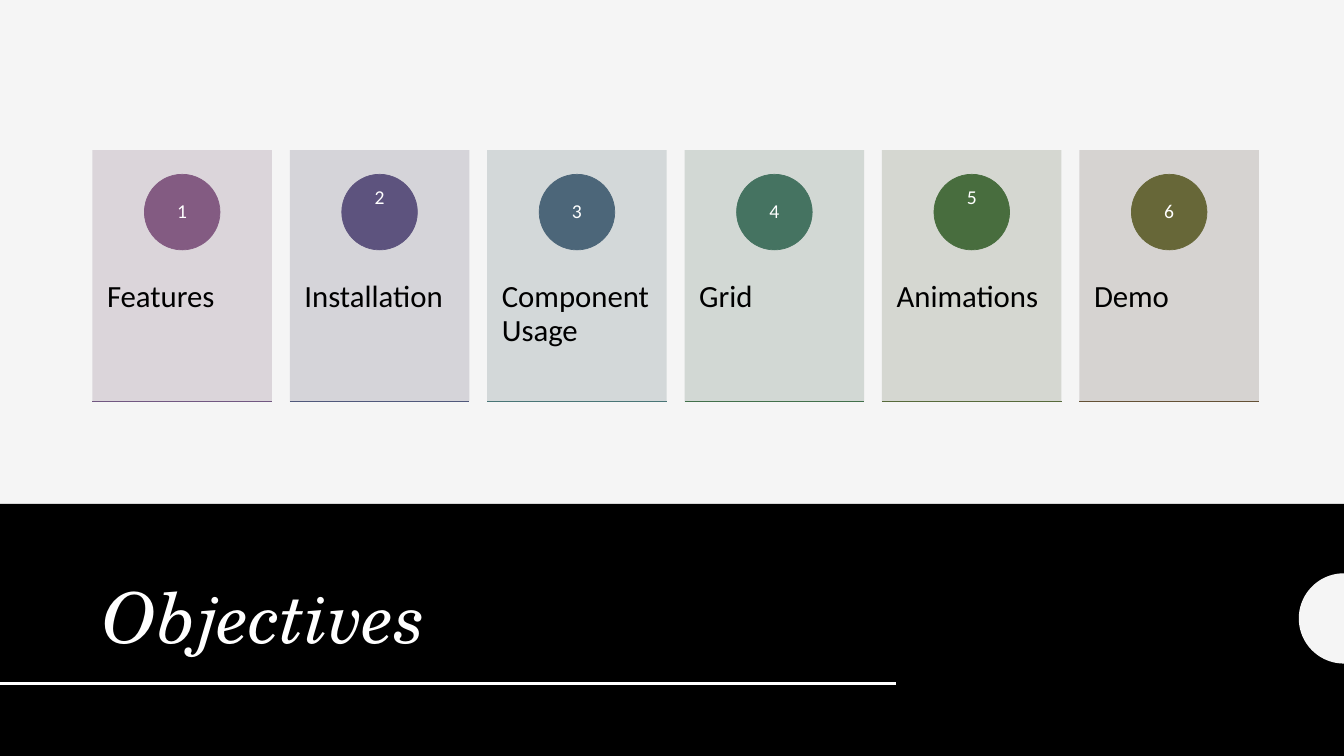
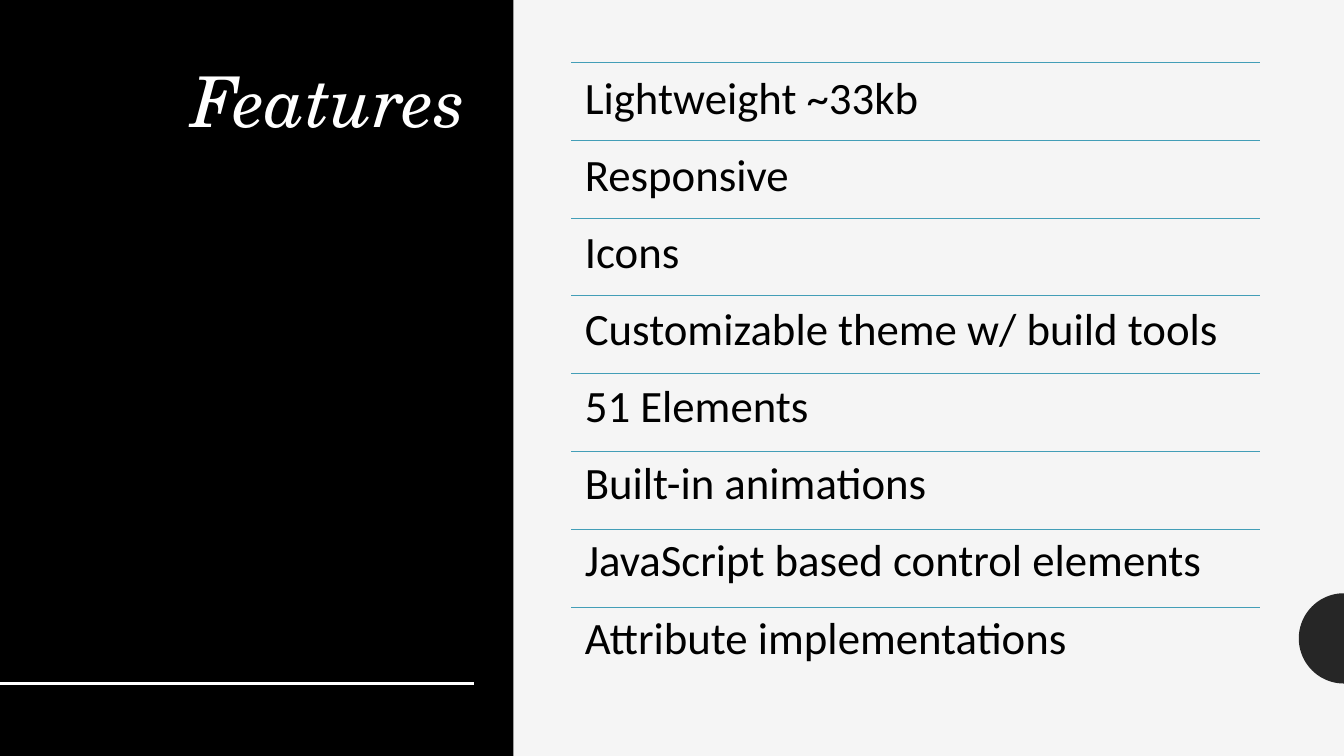
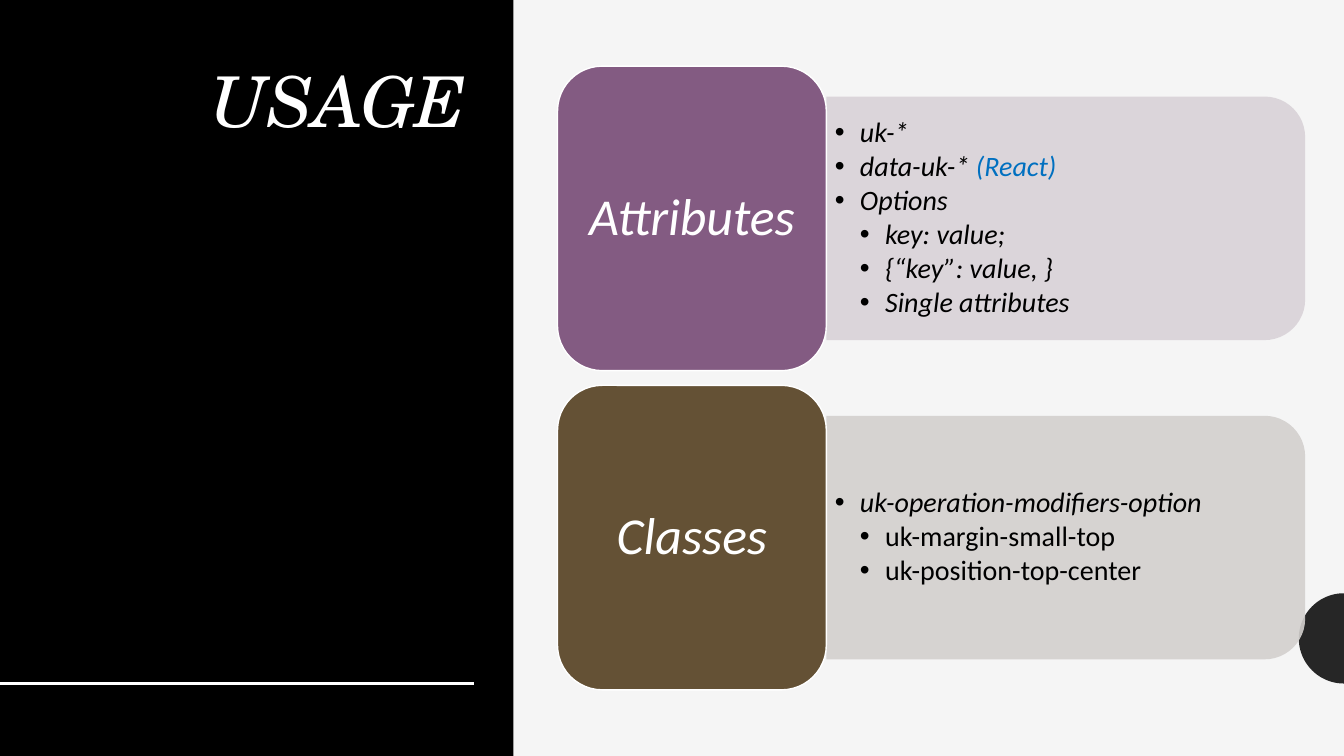
from dataclasses import dataclass
from math import cos, pi, sin

from lxml import etree
from pptx import Presentation
from pptx import util as u
from pptx.dml.color import RGBColor
from pptx.enum import shapes, text
from pptx.oxml import ns

OBJECTIVES = [
    ("Features", "D9D2D8", "835B82", "715781"),
    ("Installation", "D2D1D7", "5D537E", "50587B"),
    ("Component Usage", "D0D5D6", "4C6679", "497576"),
    ("Grid", "CFD5D1", "457361", "42704B"),
    ("Animations", "D2D4CE", "486D3E", "576A3B"),
    ("Demo", "D3D0CE", "676738", "645135"),
]
RAISED_NUMBERS = (2, 5)

FEATURES = [
    "Lightweight ~33kb",
    "Responsive",
    "Icons",
    "Customizable theme w/ build tools",
    "51 Elements",
    "Built-in animations",
    "JavaScript based control elements",
    "Attribute implementations",
]

USAGE = [
    {
        "name": "Attributes", "color": "835B82", "tint": "D9D2D8",
        "items": [
            (0, "uk-*", True),
            (0, "data-uk-* ", True, "(React)"),
            (0, "Options", True),
            (1, "key: value;", True),
            (1, "{“key”: value, }", True),
            (1, "Single attributes", True),
        ],
    },
    {
        "name": "Classes", "color": "645135", "tint": "D3D0CE",
        "items": [
            (0, "uk-operation-modifiers-option", True),
            (1, "uk-margin-small-top", False),
            (1, "uk-position-top-center", False),
        ],
    },
]


@dataclass(frozen=True)
class Theme:
    paper: str = "F5F5F5"
    band: str = "000000"
    disc: str = "262626"
    light: str = "FFFFFF"
    ink: str = "000000"
    rule: str = "439EB7"
    accent: str = "0070C0"
    title_font: str = "TeX Gyre Schola"
    body_font: str = "Calibri"
    title_size: float = 50
    card_size: float = 37
    feature_size: float = 32
    label_size: float = 22
    item_size: float = 20
    number_size: float = 14
    line_spacing: float = 0.9


THEME = Theme()
EMU_PER_PX = 9525
WIDTH, HEIGHT = 1280, 720
SIDEBAR = 489
UNDERLINE_TOP = 651
DISC_RADIUS = 43
INDENT = 24
TITLE_MARGINS = (10, 5, 10, 5)


def px(length):
    return u.Emu(round(length * EMU_PER_PX))


def rgb(color):
    return RGBColor.from_string(color)


def place(shape, box):
    shape.left, shape.top, shape.width, shape.height = map(px, box)


def paint(shape, fill, line=None, weight=0.5, alpha=None):
    shape.shadow.inherit = False
    shape.fill.solid()
    shape.fill.fore_color.rgb = rgb(fill)
    if alpha:
        color = shape.fill._xPr.find(".//" + ns.qn("a:srgbClr"))
        etree.SubElement(color, ns.qn("a:alpha")).set("val", str(alpha * 1000))
    if line:
        shape.line.color.rgb = rgb(line)
        shape.line.width = u.Pt(weight)
    else:
        shape.line.fill.background()


def add_shape(slide, kind, box, fill, **style):
    shape = slide.shapes.add_shape(kind, *map(px, box))
    paint(shape, fill, **style)
    return shape


def add_rule(slide, left, right, top, color, weight):
    rule = slide.shapes.add_connector(
        shapes.MSO_CONNECTOR.STRAIGHT, px(left), px(top), px(right), px(top))
    rule.line.color.rgb = rgb(color)
    rule.line.width = u.Pt(weight)
    etree.SubElement(rule._element.spPr, ns.qn("a:effectLst"))


def add_half_disc(slide, center, color):
    angles = [pi / 2 + pi * step / 48 for step in range(49)]
    points = [(px(WIDTH + DISC_RADIUS * cos(angle)), px(center + DISC_RADIUS * sin(angle)))
              for angle in angles]
    builder = slide.shapes.build_freeform(*points[0])
    builder.add_line_segments(points[1:], close=True)
    paint(builder.convert_to_shape(), color)


def set_bullet(paragraph, mark, margin, indent):
    properties = paragraph._p.get_or_add_pPr()
    properties.set("marL", str(px(margin)))
    properties.set("indent", str(px(indent)))
    if mark:
        etree.SubElement(properties, ns.qn("a:buChar")).set("char", mark)
    else:
        etree.SubElement(properties, ns.qn("a:buNone"))


def write(shape, lines, size, color=THEME.ink, font=THEME.body_font, italic=False,
          align="LEFT", anchor="TOP", margins=(0, 0, 0, 0), after=0):
    frame = shape.text_frame
    frame.text = "\n".join(lines)
    frame.word_wrap = True
    frame.auto_size = text.MSO_AUTO_SIZE.NONE
    frame.vertical_anchor = getattr(text.MSO_ANCHOR, anchor)
    (frame.margin_left, frame.margin_top,
     frame.margin_right, frame.margin_bottom) = map(px, margins)
    for paragraph in frame.paragraphs:
        paragraph.alignment = getattr(text.PP_ALIGN, align)
        paragraph.line_spacing = THEME.line_spacing
        paragraph.space_before = u.Pt(0)
        paragraph.space_after = u.Pt(after)
        for run in paragraph.runs:
            run.font.name = font
            run.font.size = u.Pt(size)
            run.font.italic = italic
            run.font.color.rgb = rgb(color)
    return frame.paragraphs


def start_slide(presentation, layout, title, title_box, band_box, underline,
                disc_center, disc_color, align, anchor):
    slide = presentation.slides.add_slide(presentation.slide_layouts[layout])
    add_shape(slide, shapes.MSO_SHAPE.RECTANGLE, band_box, THEME.band)
    add_half_disc(slide, disc_center, disc_color)
    add_rule(slide, 0, underline, UNDERLINE_TOP, THEME.light, 2)
    place(slide.shapes.title, title_box)
    write(slide.shapes.title, [title], THEME.title_size, THEME.light, THEME.title_font,
          True, align, anchor, TITLE_MARGINS)
    return slide


def start_sidebar_slide(presentation, layout, title):
    return start_slide(presentation, layout, title, (80, 59, 374, 520),
                       (0, 0, SIDEBAR, HEIGHT), 451, 608, THEME.disc, "RIGHT", "TOP")


def bring_text_forward(slide):
    for placeholder in list(slide.placeholders):
        slide.shapes._spTree.append(placeholder._element)


def build_objectives(presentation):
    slide = start_slide(presentation, 5, "Objectives", (88, 498, 765, 134),
                        (0, 480, WIDTH, 240), 853, 589, THEME.paper, "LEFT", "BOTTOM")
    left, top, width, height, pitch, diameter = 88, 143, 171, 239, 188, 72
    for number, (label, tint, color, rule) in enumerate(OBJECTIVES, 1):
        card_left = left + (number - 1) * pitch
        card = add_shape(slide, shapes.MSO_SHAPE.RECTANGLE,
                         (card_left, top, width, height), tint, alpha=90)
        write(card, [label], THEME.label_size, margins=(14, 125, 14, 0))
        circle = add_shape(slide, shapes.MSO_SHAPE.OVAL,
                           (card_left + (width - diameter) / 2, 166, diameter, diameter),
                           color, line=color)
        lift = 27 if number in RAISED_NUMBERS else 0
        write(circle, [str(number)], THEME.number_size, THEME.light, align="CENTER",
              anchor="MIDDLE", margins=(0, 0, 0, lift))
        add_rule(slide, card_left, card_left + width, top + height, rule, 0.5)
    bring_text_forward(slide)


def build_features(presentation):
    slide = start_sidebar_slide(presentation, 1, "Features")
    left, top, width, height = 544, 59, 656, 594
    pitch = height / len(FEATURES)
    for row in range(len(FEATURES)):
        add_rule(slide, left, left + width, top + row * pitch, THEME.rule, 0.5)
    body = slide.placeholders[1]
    place(body, (left, top, width, height))
    for paragraph in write(body, FEATURES, THEME.feature_size,
                           margins=(13, 13, 13, 0), after=20.5):
        set_bullet(paragraph, None, 0, 0)
    bring_text_forward(slide)


def write_items(body, items):
    paragraphs = write(body, [item[1] for item in items], THEME.item_size,
                       anchor="MIDDLE", margins=(8, 4, 8, 4), after=2.6)
    for paragraph, (level, _, italic, *notes) in zip(paragraphs, items):
        paragraph.level = level
        set_bullet(paragraph, "•", INDENT * (level + 1), -INDENT)
        for note in notes:
            paragraph.add_run().text = note
        for run in paragraph.runs:
            run.font.name = THEME.body_font
            run.font.size = u.Pt(THEME.item_size)
            run.font.italic = italic
            run.font.color.rgb = rgb(THEME.accent if run.text in notes else THEME.ink)


def build_usage(presentation):
    slide = start_sidebar_slide(presentation, 3, "USAGE")
    left, top, width, height, pitch = 531, 63, 256, 290, 304
    panel_left, panel_width, panel_height = left + width, 456, 232
    list_width, list_height = 443, 209
    for index, group in enumerate(USAGE):
        card_top = top + index * pitch
        middle = card_top + height / 2
        panel = add_shape(slide, shapes.MSO_SHAPE.ROUND_2_SAME_RECTANGLE,
                          (panel_left + (panel_width - panel_height) / 2,
                           middle - panel_width / 2, panel_height, panel_width),
                          group["tint"], alpha=90)
        panel.rotation = 90
        card = add_shape(slide, shapes.MSO_SHAPE.ROUNDED_RECTANGLE,
                         (left, card_top, width, height), group["color"],
                         line=THEME.light, weight=1)
        write(card, [group["name"]], THEME.card_size, THEME.light, italic=True,
              align="CENTER", anchor="MIDDLE")
        body = slide.placeholders[index + 1]
        place(body, (panel_left, middle - list_height / 2, list_width, list_height))
        write_items(body, group["items"])
    bring_text_forward(slide)


def main():
    presentation = Presentation()
    presentation.slide_width, presentation.slide_height = px(WIDTH), px(HEIGHT)
    background = presentation.slide_master.background.fill
    background.solid()
    background.fore_color.rgb = rgb(THEME.paper)
    for build in (build_objectives, build_features, build_usage):
        build(presentation)
    presentation.save("out.pptx")


if __name__ == "__main__":
    main()
